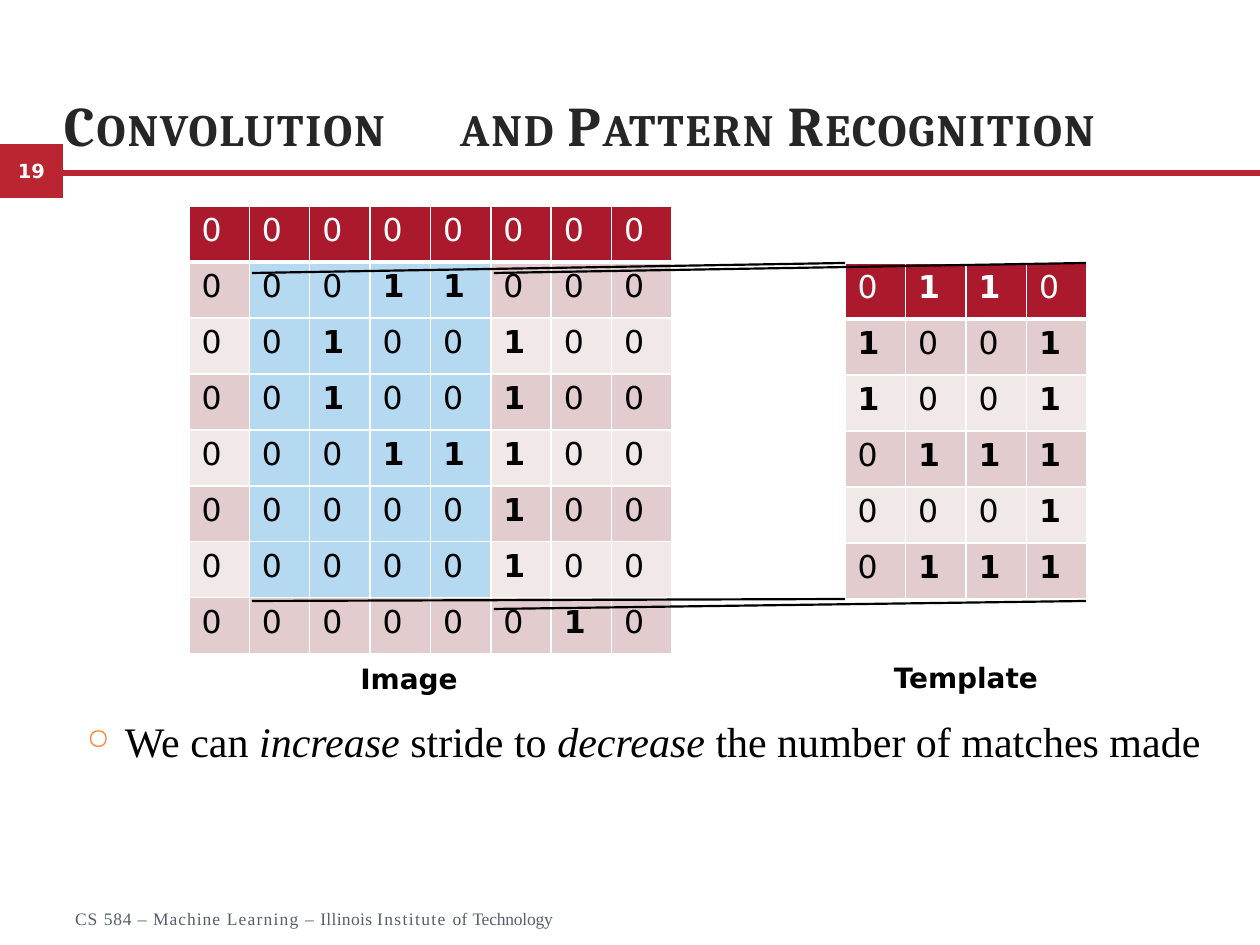
import pptx
import pptx.dml.color
import pptx.enum.shapes
import pptx.enum.text
import pptx.oxml
import pptx.oxml.ns
import pptx.util

SCALE = 914400 / 126
COLORS = {
    "bar": "BB2532", "header": "AB192D", "odd": "E2CCCD", "even": "F1E8E8",
    "match": "B5D9F1", "white": "FFFFFF", "black": "000000",
    "title": "262626", "footer": "565F6C", "bullet": "FD8537",
}
SANS, SERIF, HEADING = "DejaVu Sans", "Times New Roman", "Cambria"
ALIGN = pptx.enum.text.PP_ALIGN
ANCHOR = pptx.enum.text.MSO_ANCHOR

IMAGE = ["00000000", "00011000", "00100100", "00100100",
         "00011100", "00000100", "00000100", "00000010"]
TEMPLATE = ["0110", "1001", "1001", "0111", "0001", "0111"]
TITLE = [("Convolution", 110), (" ", 1200), ("and Pattern Recognition", 110)]
FOOTER = [("CS ", 60), ("584 ", 50), ("– Machine ", 60), ("Learning ", 70), ("– ", 60),
          ("Illinois ", 20), ("Institute ", 80), ("of ", 20), ("Technology", -10)]
MESSAGE = [("We can ", False), ("increase", True), (" stride to ", False),
           ("decrease", True), (" the number of matches made", False)]


def emu(px):
    return pptx.util.Emu(round(px * SCALE))


def rgb(name):
    return pptx.dml.color.RGBColor.from_string(COLORS[name])


def add_xml(parent, tag, attributes="", content=""):
    namespace = pptx.oxml.ns.nsdecls("a")
    parent.append(pptx.oxml.parse_xml(f"<a:{tag} {namespace} {attributes}>{content}</a:{tag}>"))


class SlideBuilder:
    def __init__(self, page):
        self.page = page

    def style(self, span, font, size, color, bold=False, italic=False, spacing=None, small=False):
        span.font.name = font
        span.font.size = pptx.util.Pt(size)
        span.font.bold = bold
        span.font.italic = italic
        span.font.color.rgb = rgb(color)
        if spacing is not None:
            span.font._element.set("spc", str(spacing))
        if small:
            span.font._element.set("cap", "small")

    def block(self, left, top, width, height, color):
        box = self.page.shapes.add_shape(pptx.enum.shapes.MSO_SHAPE.RECTANGLE,
                                         emu(left), emu(top), emu(width), emu(height))
        box.shadow.inherit = False
        box.fill.solid()
        box.fill.fore_color.rgb = rgb(color)
        box.line.fill.background()
        return box

    def badge(self, left, top, width, height, text):
        box = self.block(left, top, width, height, "bar")
        frame = box.text_frame
        frame.vertical_anchor = ANCHOR.MIDDLE
        frame.text = text
        frame.paragraphs[0].alignment = ALIGN.CENTER
        self.style(frame.paragraphs[0].runs[0], SANS, 11.1, "white", bold=True)

    def text(self, left, top, width, height, pieces, font, size, color,
             insets=(0, 0, 0, 0), anchor=ANCHOR.TOP, align=ALIGN.LEFT):
        box = self.page.shapes.add_textbox(emu(left), emu(top), emu(width), emu(height))
        frame = box.text_frame
        frame.word_wrap = True
        frame.vertical_anchor = anchor
        (frame.margin_left, frame.margin_top,
         frame.margin_right, frame.margin_bottom) = map(emu, insets)
        para = frame.paragraphs[0]
        para.alignment = align
        for words, look in pieces:
            span = para.add_run()
            span.text = words
            self.style(span, font, size, color, **look)
        return para

    def caption(self, center, top, text):
        width = 200
        self.text(center - width // 2, top, width, 48, [(text, {"bold": True})],
                  SANS, 16, "black", insets=(13, 6, 13, 6), align=ALIGN.CENTER)

    def bullet(self, para):
        properties = para._p.get_or_add_pPr()
        properties.set("marL", str(emu(39)))
        properties.set("indent", str(emu(-38)))
        add_xml(properties, "buClr", content=f'<a:srgbClr val="{COLORS["bullet"]}"/>')
        add_xml(properties, "buSzPct", 'val="69000"')
        add_xml(properties, "buChar", 'char="○"')
        add_xml(properties, "tabLst", content=f'<a:tab pos="{emu(39)}" algn="l"/>')
        para.line_spacing = 1.2

    def grid(self, left, top, width, height, rows, matched=()):
        count = len(rows[0])
        table = self.page.shapes.add_table(len(rows), count, emu(left), emu(top),
                                           emu(width), emu(height)).table
        for column in table.columns:
            column.width = emu(width / count)
        for y, digits in enumerate(rows):
            table.rows[y].height = emu(height / len(rows))
            band = "header" if y == 0 else "odd" if y % 2 else "even"
            for x, digit in enumerate(digits):
                cell = table.cell(y, x)
                cell.text = digit
                self.style(cell.text_frame.paragraphs[0].runs[0], SANS, 18,
                           "white" if y == 0 else "black", bold=digit == "1")
                self.borders(cell, {"L": 1, "R": 1, "T": 3 if y == 1 else 1,
                                    "B": 3 if y == 0 else 1})
                cell.fill.solid()
                cell.fill.fore_color.rgb = rgb("match" if (y, x) in matched else band)

    def borders(self, cell, widths):
        properties = cell._tc.get_or_add_tcPr()
        fill = f'<a:solidFill><a:srgbClr val="{COLORS["white"]}"/></a:solidFill>'
        for side, points in widths.items():
            add_xml(properties, f"ln{side}", f'w="{points * 12700}"', fill)

    def line(self, start, end):
        connector = self.page.shapes.add_connector(pptx.enum.shapes.MSO_CONNECTOR.STRAIGHT,
                                                   *map(emu, start + end))
        connector.line.color.rgb = rgb("black")
        connector.line.width = pptx.util.Pt(1.25)
        add_xml(connector._element.spPr, "effectLst")


def main():
    deck = pptx.Presentation()
    deck.slide_width, deck.slide_height = emu(1260), emu(945)
    slide = SlideBuilder(deck.slides.add_slide(deck.slide_layouts[6]))

    slide.badge(0, 144, 63, 54, "19")
    slide.block(63, 170, 1197, 6, "bar")
    matched = {(y, x) for y in range(1, 7) for x in range(1, 5)}
    slide.grid(189, 206, 483, 448, IMAGE, matched)
    slide.text(63, -44, 1134, 202,
               [(words, {"bold": True, "spacing": gap, "small": True}) for words, gap in TITLE],
               HEADING, 32, "title", insets=(1, 64, 0, 0), anchor=ANCHOR.BOTTOM)
    slide.text(74, 908, 496, 25, [(words, {"spacing": gap}) for words, gap in FOOTER],
               SERIF, 10, "footer", insets=(1, 0, 0, 0))
    message = slide.text(86, 704, 1174, 121,
                         [(words, {"italic": italic}) for words, italic in MESSAGE],
                         SERIF, 24, "black", insets=(0, 1, 0, 0))
    slide.bullet(message)
    slide.caption(409, 656, "Image")
    slide.caption(966, 655, "Template")
    slide.grid(845, 263, 242, 336, TEMPLATE)
    for start, end in [((845, 263), (252, 273)), ((1086, 263), (494, 273)),
                       ((845, 599), (252, 601)), ((1086, 601), (494, 609))]:
        slide.line(start, end)

    deck.save("out.pptx")


if __name__ == "__main__":
    main()
